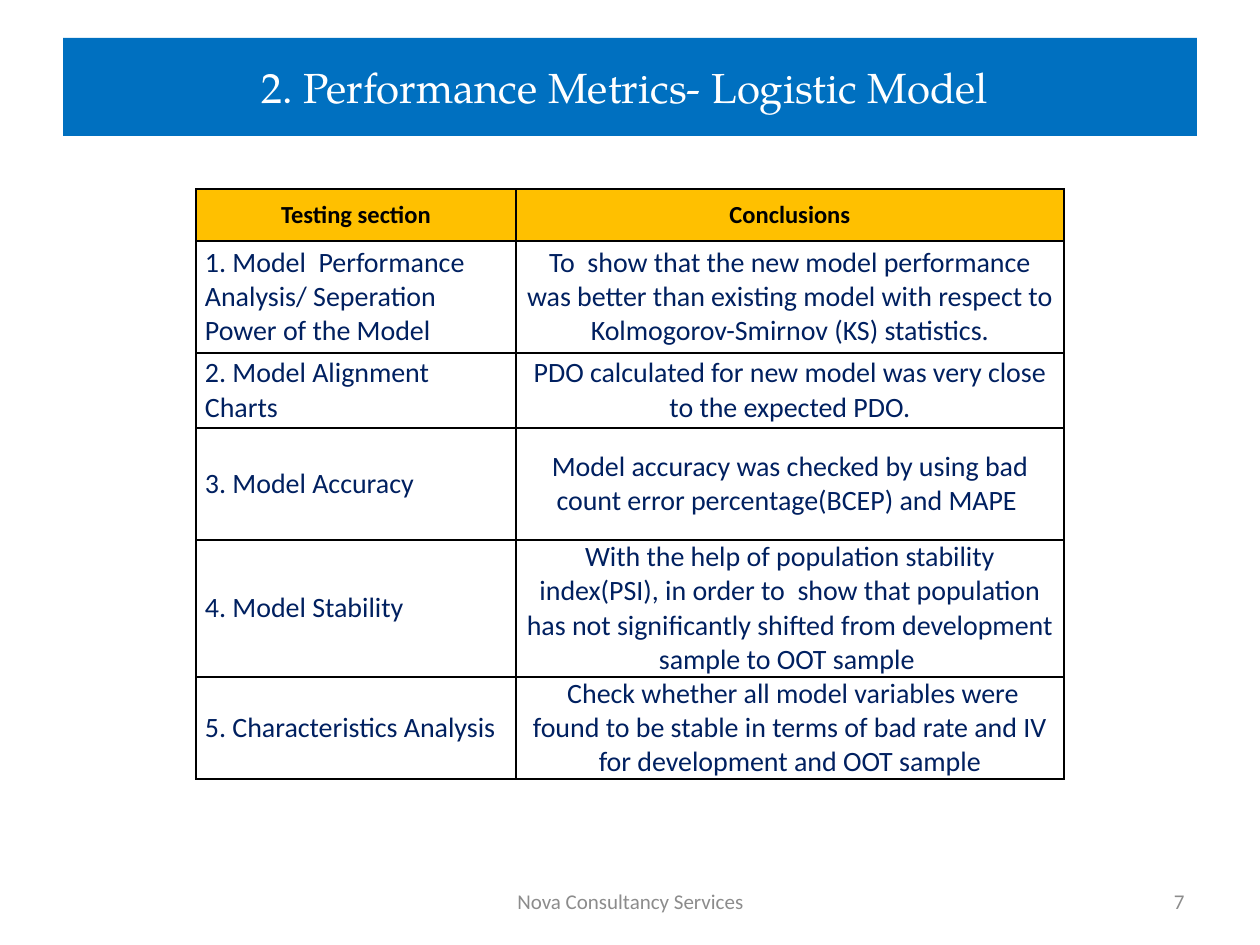
from lxml.etree import SubElement
from pptx import Presentation
from pptx.dml.color import RGBColor
from pptx.enum.text import MSO_ANCHOR, PP_ALIGN
from pptx.oxml.ns import qn
from pptx.util import Pt

SCALE = 914400 / 126  # EMU per px
HEADER = ("Testing section", "Conclusions")
FINDINGS = [
    ("1. Model  Performance Analysis/ Seperation Power of the Model",
     "To  show that the new model performance was better than existing model "
     "with respect to Kolmogorov-Smirnov (KS) statistics."),
    ("2. Model Alignment Charts",
     "PDO calculated for new model was very close to the expected PDO."),
    ("3. Model Accuracy",
     "Model accuracy was checked by using bad count error percentage(BCEP) and MAPE "),
    ("4. Model Stability",
     "With the help of population stability index(PSI), in order to  show that "
     "population has not significantly shifted from development sample to OOT sample "),
    ("5. Characteristics Analysis",
     " Check whether all model variables were found to be stable in terms of "
     "bad rate and IV for development and OOT sample"),
]
COLUMN_WIDTHS = (320, 548)
ROW_HEIGHTS = (52, 112, 75, 112, 137, 102)


def px(length):
    return round(length * SCALE)


def color(value):
    return RGBColor.from_string(value)


def set_attributes(target, values):
    for name, value in values.items():
        setattr(target, name, value)


class SlideBuilder:
    """Holds the style and the current slide."""

    title_style = {"name": "TeX Gyre Pagella", "size": Pt(24)}
    footer_style = {"name": "Calibri", "size": Pt(12)}
    header_style = {"name": "Calibri", "size": Pt(14), "bold": True}
    body_style = {"name": "Calibri", "size": Pt(16), "bold": False}
    cell_format = {"margin_left": px(9), "margin_right": px(9), "margin_top": 0,
                   "margin_bottom": 0, "vertical_anchor": MSO_ANCHOR.MIDDLE}

    def __init__(self, presentation):
        self.slide = presentation.slides.add_slide(presentation.slide_layouts[5])

    def fill_text(self, frame, text, style, text_color, alignment):
        frame.word_wrap = True
        paragraph = frame.paragraphs[0]
        paragraph.alignment = alignment
        run = paragraph.add_run()
        run.text = text
        set_attributes(run.font, style)
        run.font.color.rgb = color(text_color)

    def title(self, text, left, top, width, height):
        shape = self.slide.shapes.title
        set_attributes(shape, {"left": px(left), "top": px(top),
                               "width": px(width), "height": px(height)})
        shape.fill.solid()
        shape.fill.fore_color.rgb = color("0070C0")
        shape.text_frame.vertical_anchor = MSO_ANCHOR.MIDDLE
        self.fill_text(shape.text_frame, text, self.title_style, "FFFFFF",
                       PP_ALIGN.CENTER)

    def footer(self, text, left, top, width, height, alignment):
        shape = self.slide.shapes.add_textbox(px(left), px(top), px(width), px(height))
        shape.text_frame.vertical_anchor = MSO_ANCHOR.MIDDLE
        self.fill_text(shape.text_frame, text, self.footer_style, "8C8C8C", alignment)

    def border(self, cell):
        properties = cell._tc.get_or_add_tcPr()
        for index, side in enumerate(("lnL", "lnR", "lnT", "lnB")):
            line = SubElement(properties, qn(f"a:{side}"), w=str(Pt(1)))
            fill = SubElement(line, qn("a:solidFill"))
            SubElement(fill, qn("a:srgbClr"), val="000000")
            properties.insert(index, line)

    def cell(self, cell, text, style, text_color, alignment, fill=None):
        set_attributes(cell, self.cell_format)
        if fill:
            cell.fill.solid()
            cell.fill.fore_color.rgb = color(fill)
        else:
            cell.fill.background()
        self.fill_text(cell.text_frame, text, style, text_color, alignment)
        self.border(cell)

    def table(self, header, rows, left, top, widths, heights):
        table = self.slide.shapes.add_table(
            len(heights), len(widths), px(left), px(top),
            px(sum(widths)), px(sum(heights))).table
        for column, width in zip(table.columns, widths):
            column.width = px(width)
        for row, height in zip(table.rows, heights):
            row.height = px(height)
        for index, text in enumerate(header):
            self.cell(table.cell(0, index), text, self.header_style,
                      "000000", PP_ALIGN.CENTER, "FFC000")
        for number, texts in enumerate(rows, start=1):
            for index, alignment in enumerate((PP_ALIGN.LEFT, PP_ALIGN.CENTER)):
                self.cell(table.cell(number, index), texts[index],
                          self.body_style, "002060", alignment)


def main():
    presentation = Presentation()
    set_attributes(presentation, {"slide_width": px(1260), "slide_height": px(945)})
    builder = SlideBuilder(presentation)

    # Title band
    builder.title("2. Performance Metrics- Logistic Model ", 63, 38, 1134, 98)

    # Footer and slide number
    builder.footer("Nova Consultancy Services", 431, 876, 399, 50, PP_ALIGN.CENTER)
    builder.footer("7", 903, 876, 294, 50, PP_ALIGN.RIGHT)

    # Findings table
    builder.table(HEADER, FINDINGS, 196, 189, COLUMN_WIDTHS, ROW_HEIGHTS)

    presentation.save("out.pptx")


if __name__ == "__main__":
    main()
